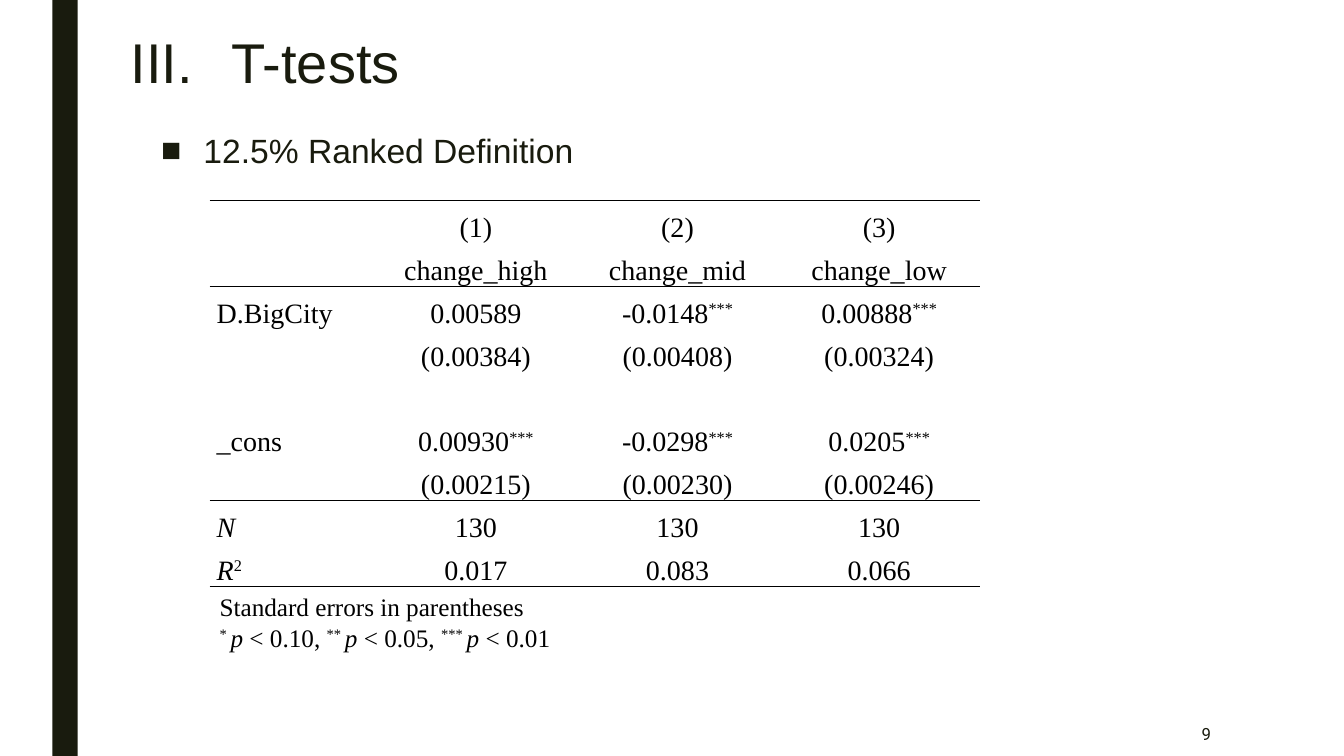
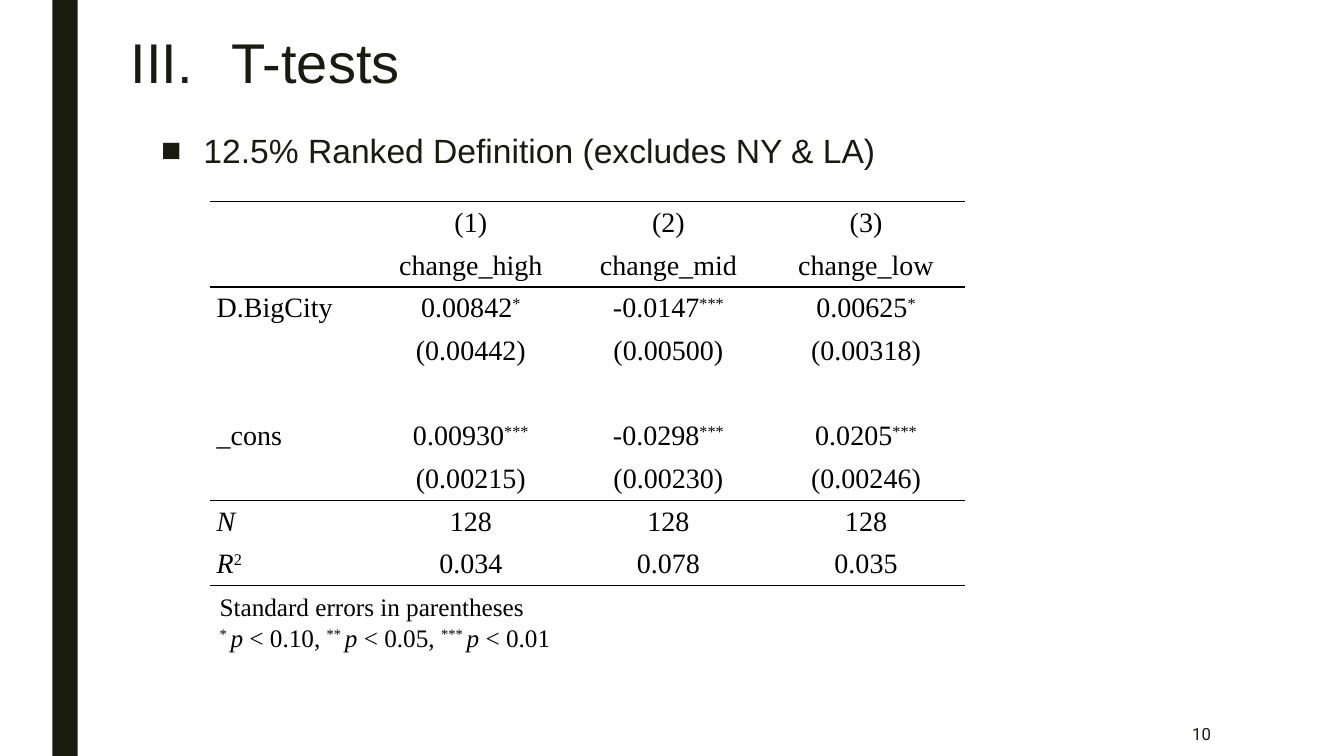
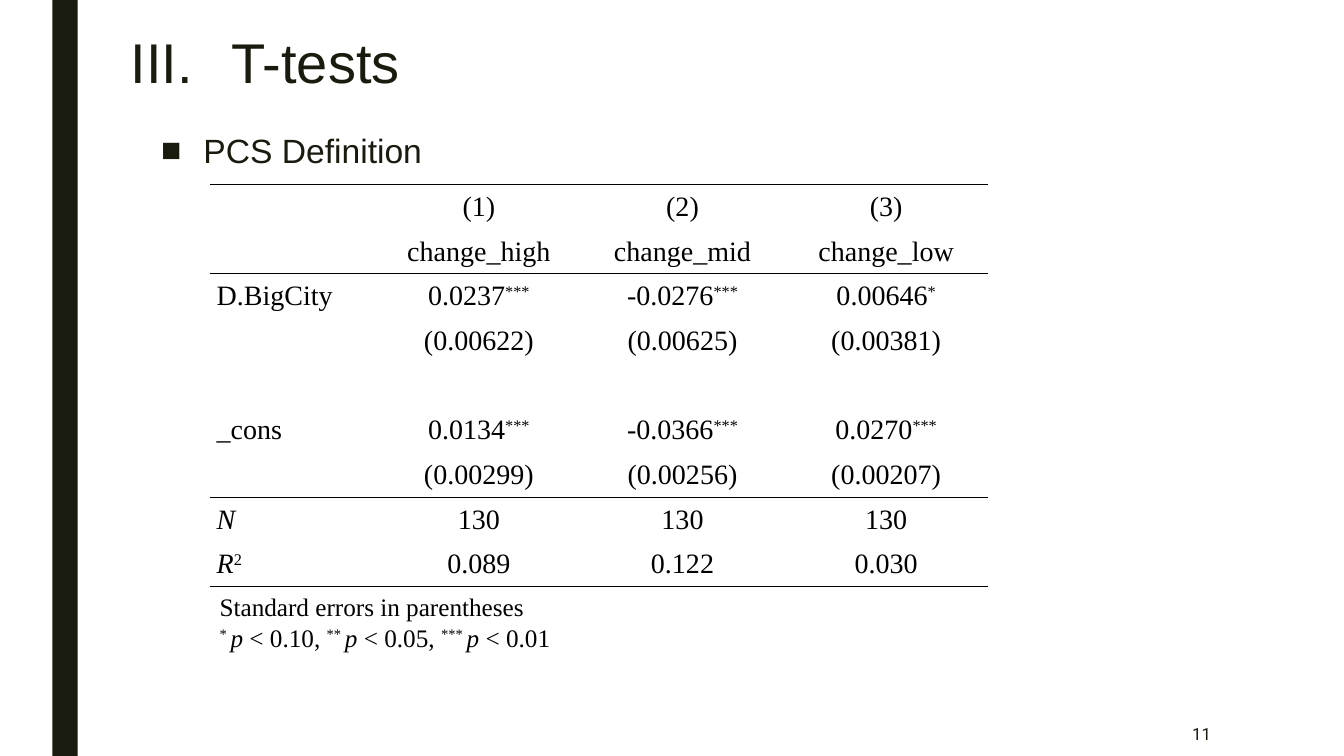
from dataclasses import dataclass
from typing import NamedTuple

from lxml.etree import SubElement
from pptx import Presentation
from pptx.dml.color import RGBColor
from pptx.enum.shapes import MSO_SHAPE
from pptx.enum.text import MSO_ANCHOR, MSO_AUTO_SIZE, PP_ALIGN
from pptx.oxml.ns import qn
from pptx.util import Inches, Pt

INK = "191B0E"
BLACK = "000000"
SANS = "Arial"
SERIF = "Times New Roman"
TABLE_LEFT = 2.08
RULES = (0, 2, 7, 9)
HEADER = [("", "(1)", "(2)", "(3)"), ("", "change_high", "change_mid", "change_low")]


class Run(NamedTuple):
    text: str
    italic: bool = False
    superscript: bool = False


LABELS = {
    "N": [Run("N", italic=True)],
    "R2": [Run("R", italic=True), Run("2", superscript=True)],
}
NOTE = [[Run("Standard errors in parentheses")], []]
for stars, level in (("* ", " < 0.10, "), ("** ", " < 0.05, "), ("*** ", " < 0.01")):
    NOTE[1] += [Run(stars, superscript=True), Run("p", italic=True), Run(level)]


@dataclass
class TTest:
    page: int
    heading: str
    top: float
    height: float
    label_width: float
    value_width: float
    anchor: MSO_ANCHOR
    rows: list[tuple[str, ...]]


TESTS = [
    TTest(9, "12.5% Ranked Definition", 1.99, 3.83, 1.64, 2, MSO_ANCHOR.BOTTOM, [
        ("D.BigCity", "0.00589", "-0.0148***", "0.00888***"),
        ("", "(0.00384)", "(0.00408)", "(0.00324)"),
        ("", "", "", ""),
        ("_cons", "0.00930***", "-0.0298***", "0.0205***"),
        ("", "(0.00215)", "(0.00230)", "(0.00246)"),
        ("N", "130", "130", "130"),
        ("R2", "0.017", "0.083", "0.066"),
    ]),
    TTest(10, "12.5% Ranked Definition (excludes NY & LA)", 2, 3.81, 1.61, 1.96, MSO_ANCHOR.MIDDLE, [
        ("D.BigCity", "0.00842*", "-0.0147***", "0.00625*"),
        ("", "(0.00442)", "(0.00500)", "(0.00318)"),
        ("", "", "", ""),
        ("_cons", "0.00930***", "-0.0298***", "0.0205***"),
        ("", "(0.00215)", "(0.00230)", "(0.00246)"),
        ("N", "128", "128", "128"),
        ("R2", "0.034", "0.078", "0.035"),
    ]),
    TTest(11, "PCS Definition", 1.83, 3.99, 1.66, 2.02, MSO_ANCHOR.MIDDLE, [
        ("D.BigCity", "0.0237***", "-0.0276***", "0.00646*"),
        ("", "(0.00622)", "(0.00625)", "(0.00381)"),
        ("", "", "", ""),
        ("_cons", "0.0134***", "-0.0366***", "0.0270***"),
        ("", "(0.00299)", "(0.00256)", "(0.00207)"),
        ("N", "130", "130", "130"),
        ("R2", "0.089", "0.122", "0.030"),
    ]),
]


def rgb(value: str) -> RGBColor:
    return RGBColor.from_string(value)


def write(p, text, *, size, font=SANS, color=INK, align=PP_ALIGN.LEFT):
    p.alignment = align
    for part in [Run(text)] if isinstance(text, str) else text:
        r = p.add_run()
        r.text = part.text
        r.font.size = Pt(size)
        r.font.name = font
        r.font.color.rgb = rgb(color)
        if part.italic:
            r.font.italic = True
        if part.superscript:
            r.font._element.set("baseline", "30000")
    return p


def add_box(slide, left: float, top: float, width: float, height: float, *,
            anchor=MSO_ANCHOR.TOP, wrap=True):
    tf = slide.shapes.add_textbox(Inches(left), Inches(top), Inches(width), Inches(height)).text_frame
    tf.word_wrap = wrap
    tf.vertical_anchor = anchor
    return tf


def add_bullet(p, indent: float) -> None:
    p.space_before, p.space_after = Pt(10), Pt(2)
    pPr = p._p.get_or_add_pPr()
    pPr.set("marL", str(Inches(indent)))
    pPr.set("indent", str(-Inches(indent)))
    SubElement(pPr, qn("a:buFont")).set("typeface", SANS)
    SubElement(pPr, qn("a:buChar")).set("char", "■")


def add_frame(slide, test: TTest) -> None:
    sp = slide.shapes.add_shape(MSO_SHAPE.RECTANGLE, Inches(0.52), 0, Inches(0.25), Inches(7.5))
    sp.shadow.inherit = False
    sp.fill.solid()
    sp.fill.fore_color.rgb = rgb(INK)
    sp.line.fill.background()

    tf = add_box(slide, 10.36, 7.06, 1.75, 0.44, anchor=MSO_ANCHOR.MIDDLE)
    write(tf.paragraphs[0], str(test.page), size=12, font="Roboto", align=PP_ALIGN.RIGHT)

    tf = add_box(slide, 1.5, 1.24, 10.5, 0.77)
    add_bullet(write(tf.paragraphs[0], test.heading, size=24), 0.42)

    tf = add_box(slide, 1.2, 0.31, 11.68, 0.77)
    write(tf.paragraphs[0], "III.\tT-tests", size=40).line_spacing = 0.89


def set_borders(cell, row: int) -> None:
    tcPr = cell._tc.get_or_add_tcPr()
    ruled = {"lnL": False, "lnR": False, "lnT": row in RULES, "lnB": row + 1 in RULES}
    for tag, visible in ruled.items():
        ln = SubElement(tcPr, qn(f"a:{tag}"))
        if visible:
            ln.set("w", str(Pt(1)))
            fill = SubElement(ln, qn("a:solidFill"))
            SubElement(fill, qn("a:srgbClr")).set("val", BLACK)
        else:
            SubElement(ln, qn("a:noFill"))


def cell_runs(text: str) -> list[Run]:
    number = text.rstrip("*")
    stars = text[len(number):]
    return LABELS.get(text) or [Run(number)] + ([Run(stars, superscript=True)] if stars else [])


def add_results(slide, test: TTest) -> None:
    rows = HEADER + test.rows
    widths = [test.label_width] + [test.value_width] * 3
    table = slide.shapes.add_table(len(rows), len(widths), Inches(TABLE_LEFT), Inches(test.top),
                                   Inches(sum(widths)), Inches(test.height)).table
    table.first_row = table.horz_banding = False
    for column, width in zip(table.columns, widths):
        column.width = Inches(width)
    for i, row in enumerate(rows):
        table.rows[i].height = Inches(test.height / len(rows))
        for j, text in enumerate(row):
            cell = table.cell(i, j)
            set_borders(cell, i)
            cell.fill.background()
            cell.vertical_anchor = test.anchor
            cell.margin_left = cell.margin_right = Inches(0.07)
            cell.margin_top = cell.margin_bottom = 0
            if text:
                write(cell.text_frame.paragraphs[0], cell_runs(text), size=20, font=SERIF,
                      color=BLACK, align=PP_ALIGN.CENTER if j else PP_ALIGN.LEFT)


def add_note(slide) -> None:
    tf = add_box(slide, TABLE_LEFT, 5.82, 3.66, 0.71, wrap=False)
    tf.auto_size = MSO_AUTO_SIZE.SHAPE_TO_FIT_TEXT
    for i, line in enumerate(NOTE):
        p = tf.add_paragraph() if i else tf.paragraphs[0]
        write(p, line, size=18, font=SERIF, color=BLACK)


def main() -> None:
    prs = Presentation()
    prs.slide_width, prs.slide_height = Inches(13.33), Inches(7.5)
    for test in TESTS:
        slide = prs.slides.add_slide(prs.slide_layouts[6])
        add_frame(slide, test)
        add_results(slide, test)
        add_note(slide)
    prs.save("out.pptx")


if __name__ == "__main__":
    main()
